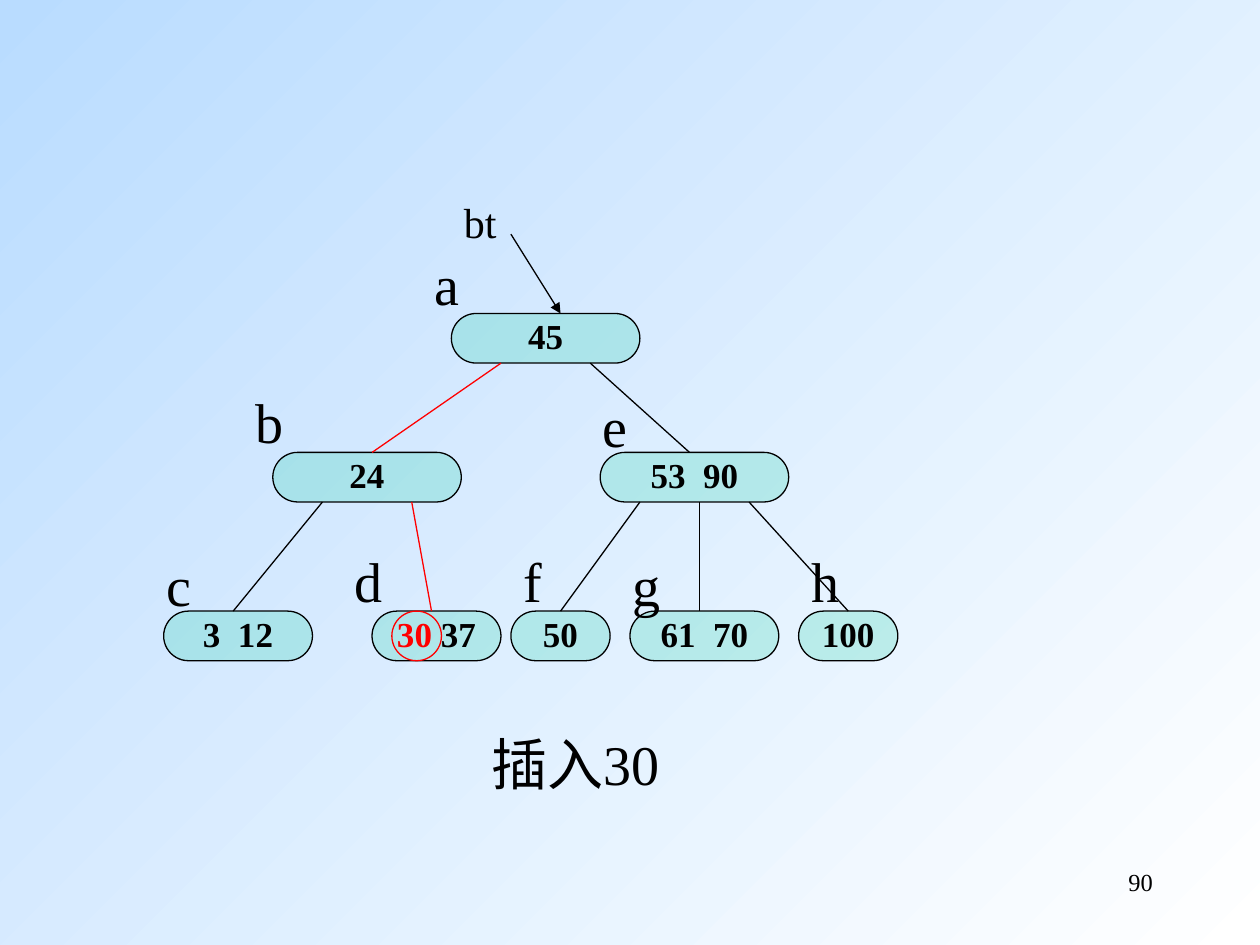
import pptx
import pptx.dml.color
import pptx.enum.shapes
import pptx.enum.text
import pptx.oxml
import pptx.util
from pptx.util import Cm

RGBColor = pptx.dml.color.RGBColor
SHAPE = pptx.enum.shapes.MSO_SHAPE
ALIGN = pptx.enum.text.PP_ALIGN
ANCHOR = pptx.enum.text.MSO_ANCHOR
NS = 'xmlns:a="http://schemas.openxmlformats.org/drawingml/2006/main"'

BLACK = RGBColor(0x00, 0x00, 0x00)
RED = RGBColor(0xFF, 0x00, 0x00)
GREEN = RGBColor(0x00, 0xCC, 0x99)
SKY = RGBColor(0xB9, 0xDC, 0xFF)
WHITE = RGBColor(0xFF, 0xFF, 0xFF)
FONT = "Times New Roman"
NODE_HEIGHT = 1.0

# name: (left, top, width, runs, label offset), in cm from the tree's corner
NODES = {
    "a": (6.0, 2.36, 3.8, [("45", BLACK)], (-0.6, -1.27)),
    "b": (2.4, 5.16, 3.8, [("24", BLACK)], (-0.6, -1.27)),
    "e": (9.0, 5.16, 3.8, [("53  90", BLACK)], (-0.2, -1.2)),
    "c": (0.2, 8.36, 3.0, [("3  12", BLACK)], (-0.2, -1.2)),
    "d": (4.4, 8.36, 2.6, [("30", RED), (" 37", BLACK)], (-0.6, -1.27)),
    "f": (7.2, 8.36, 2.0, [("50", BLACK)], (0, -1.27)),
    "g": (9.6, 8.36, 3.0, [("61  70", BLACK)], (-0.2, -1.2)),
    "h": (13.0, 8.36, 2.0, [("100", BLACK)], (0, -1.27)),
}

# parent, child, start along the parent, end along the child, colour
EDGES = [
    ("a", "b", 1.0, 2.0, RED),
    ("a", "e", 2.8, 1.8, BLACK),
    ("b", "c", 1.0, 1.4, BLACK),
    ("b", "d", 2.8, 1.2, RED),
    ("e", "f", 0.8, 1.0, BLACK),
    ("e", "g", 2.0, 1.4, BLACK),
    ("e", "h", 3.0, 1.0, BLACK),
]


def write(tf, runs, size, bold=False, align=ALIGN.LEFT, spacing=0.9):
    p = tf.paragraphs[0]
    p.alignment = align
    p.line_spacing = spacing
    for text, color in runs:
        r = p.add_run()
        r.text = text
        r.font.name = FONT
        r.font.size = pptx.util.Pt(size)
        r.font.bold = bold
        r.font.color.rgb = color


def add_text(s, x, y, w, h, text, size, **style):
    sp = s.shapes.add_textbox(Cm(x), Cm(y), Cm(w), Cm(h))
    sp.text_frame.word_wrap = True
    write(sp.text_frame, [(text, BLACK)], size, **style)


def add_outlined(s, kind, x, y, w, h, color):
    sp = s.shapes.add_shape(kind, Cm(x), Cm(y), Cm(w), Cm(h))
    sp.shadow.inherit = False
    sp.fill.background()
    sp.line.color.rgb = color
    sp.line.width = pptx.util.Pt(0.75)
    return sp


def add_line(s, x1, y1, x2, y2, color, arrow=False):
    line = s.shapes.add_connector(pptx.enum.shapes.MSO_CONNECTOR.STRAIGHT,
                                  Cm(x1), Cm(y1), Cm(x2), Cm(y2))
    line.line.color.rgb = color
    line.line.width = pptx.util.Pt(0.75)
    if arrow:
        line.line._get_or_add_ln().append(
            pptx.oxml.parse_xml(f'<a:tailEnd {NS} type="triangle"/>'))
    line._element.spPr.append(pptx.oxml.parse_xml(f"<a:effectLst {NS}/>"))
    return line


def add_node(s, x, y, w, runs):
    sp = add_outlined(s, SHAPE.ROUNDED_RECTANGLE, x, y, w, NODE_HEIGHT, BLACK)
    sp.adjustments[0] = 0.5
    sp.fill.solid()
    sp.fill.fore_color.rgb = GREEN
    # 20 % opacity
    color = sp._element.spPr.find(".//" + pptx.oxml.ns.qn("a:srgbClr"))
    color.append(pptx.oxml.parse_xml(f'<a:alpha {NS} val="20000"/>'))
    tf = sp.text_frame
    tf.word_wrap = False
    tf.vertical_anchor = ANCHOR.MIDDLE
    write(tf, runs, 20, bold=True, align=ALIGN.CENTER)
    return sp


def add_tree(s, left, top):
    # Nodes with their labels
    shapes = {}
    for name, (x, y, w, runs, (dx, dy)) in NODES.items():
        shapes[name] = add_node(s, left + x, top + y, w, runs)
        add_text(s, left + x + dx, top + y + dy, 1.0, 1.47, name, 32)

    # Root pointer
    root_x, root_y = NODES["a"][:2]
    add_text(s, left + root_x, top, 1.6, 1.17, "bt", 24)
    add_line(s, left + root_x + 1.2, top + 0.76,
             left + root_x + 2.2, top + root_y, BLACK, arrow=True)

    # Edges, with the search path in red
    for parent, child, start, end, color in EDGES:
        px, py = NODES[parent][:2]
        cx, cy, cw = NODES[child][:3]
        line = add_line(s, left + px + start, top + py + NODE_HEIGHT,
                        left + cx + end, top + cy, color)
        if end == cw / 2:
            line.end_connect(shapes[child], 0)

    # Ring around the inserted key
    x, y = NODES["d"][:2]
    add_outlined(s, SHAPE.OVAL, left + x + 0.4, top + y, 1.0, 1.0, RED)


def add_caption(s, left, top, width, height):
    sp = s.shapes.title
    sp.left, sp.top, sp.width, sp.height = map(Cm, (left, top, width, height))
    sp.text_frame.vertical_anchor = ANCHOR.TOP
    write(sp.text_frame, [("插入30", BLACK)], 32, align=ALIGN.CENTER)


def set_background(s):
    fill = s.background.fill
    fill.gradient()
    fill.gradient_angle = 315
    for stop, color in zip(fill.gradient_stops, (SKY, WHITE)):
        stop.color.rgb = color


def main():
    prs = pptx.Presentation()
    prs.slide_width, prs.slide_height = Cm(25.4), Cm(19.05)
    s = prs.slides.add_slide(prs.slide_layouts[5])
    set_background(s)
    add_tree(s, 3.1, 3.96)
    add_caption(s, 6.9, 14.73, 9.4, 1.47)
    # Page number
    add_text(s, 18.2, 17.35, 5.29, 1.27, "90", 14,
             align=ALIGN.RIGHT, spacing=1.0)
    prs.save("out.pptx")


if __name__ == "__main__":
    main()
